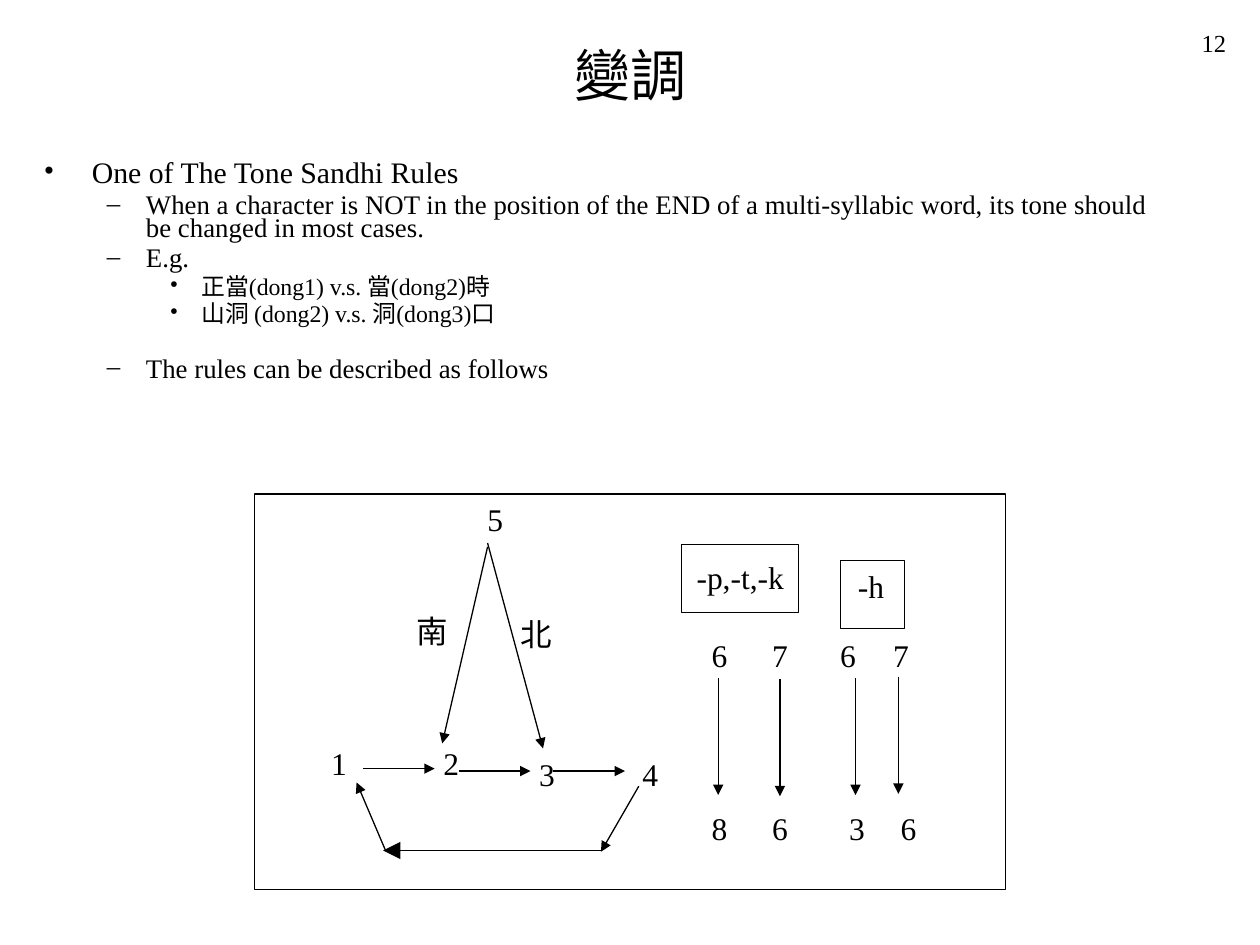
from lxml.etree import SubElement
from pptx import Presentation
from pptx.dml.color import RGBColor
from pptx.enum.shapes import MSO_CONNECTOR as Connector, MSO_SHAPE as Shape
from pptx.enum.text import MSO_ANCHOR as Anchor, PP_ALIGN as Align
from pptx.oxml.ns import qn
from pptx.util import Inches, Pt

FONT = "Times New Roman"
COLORS = {"ink": "000000", "paper": "FFFFFF"}

# level: bullet, left indent, hanging indent, size, space before
LEVELS = [
    ("•", 0.38, 0.38, 17, 5),
    ("–", 0.81, 0.31, 15.3, 4.5),
    ("•", 1.25, 0.25, 13.6, 4),
]
OUTLINE = [
    (0, "One of The Tone Sandhi Rules"),
    (1, "When a character is NOT in the position of the END of a "
        "multi-syllabic word, its tone should be changed in most cases."),
    (1, "E.g."),
    (2, "正當(dong1) v.s. 當(dong2)時"),
    (2, "山洞 (dong2) v.s. 洞(dong3)口"),
    (1, "The rules can be described as follows"),
]
GAP_BEFORE_RULES = 19.5

BOXES = [(2.02, 3.92, 5.96, 3.14), (5.41, 4.32, 0.93, 0.54), (6.67, 4.45, 0.51, 0.54)]
LABELS = [
    ("1", 2.53, 5.86), ("2", 3.42, 5.86), ("3", 4.18, 5.94), ("4", 5.0, 5.94),
    ("5", 3.77, 3.92), ("南", 3.21, 4.81), ("北", 4.03, 4.83),
    ("-p,-t,-k", 5.43, 4.38), ("-h", 6.71, 4.45),
]
# checked tones: tone, its left, changed tone, its left, arrow x, arrow top
CHECKED_TONES = [
    ("6", 5.55, "8", 5.55, 5.7, 5.38),
    ("7", 6.03, "6", 6.03, 6.19, 5.39),
    ("6", 6.57, "3", 6.64, 6.79, 5.38),
    ("7", 6.99, "6", 7.05, 7.13, 5.37),
]
TONE_TOP, CHANGED_TOP, CHECKED_ARROW = 5.0, 6.37, 0.93
ARROWS = [
    (2.88, 6.1, 3.45, 6.1), (3.64, 6.12, 4.21, 6.12), (4.39, 6.12, 4.96, 6.12),
    (5.07, 6.24, 4.77, 6.76), (3.06, 6.75, 2.83, 6.21),
    (3.87, 4.34, 3.51, 5.9), (3.87, 4.31, 4.31, 5.94),
]
RETURN_ARROW = (4.77, 6.75, 3.04, 6.75)


def color(name):
    return RGBColor.from_string(COLORS[name])


def format_runs(paragraph, size):
    for run in paragraph.runs:
        run.font.name = FONT
        run.font.size = Pt(size)
        run.font.color.rgb = color("ink")


def add_text(shapes, text, left, top, width, height, size=18,
             align=Align.LEFT, anchor=Anchor.TOP):
    box = shapes.add_textbox(Inches(left), Inches(top), Inches(width), Inches(height))
    frame = box.text_frame
    frame.word_wrap = True
    frame.vertical_anchor = anchor
    frame.text = text
    frame.paragraphs[0].alignment = align
    format_runs(frame.paragraphs[0], size)
    return frame


def add_outline(shapes):
    frame = add_text(shapes, "", 0.25, 1.25, 9.08, 1.92)
    for index, (level, text) in enumerate(OUTLINE):
        paragraph = frame.add_paragraph() if index else frame.paragraphs[0]
        bullet, indent, hanging, size, before = LEVELS[level]
        paragraph.text = text
        paragraph.level = level
        paragraph.line_spacing = 0.7
        paragraph.space_before = Pt(before)
        format_runs(paragraph, size)
        properties = paragraph._p.get_or_add_pPr()
        properties.set("marL", str(Inches(indent)))
        properties.set("indent", str(-Inches(hanging)))
        SubElement(properties, qn("a:buFont"), typeface=FONT)
        SubElement(properties, qn("a:buChar"), char=bullet)
    paragraph.space_before = Pt(GAP_BEFORE_RULES)


def add_box(shapes, left, top, width, height):
    box = shapes.add_shape(Shape.RECTANGLE, Inches(left), Inches(top),
                           Inches(width), Inches(height))
    box.shadow.inherit = False
    box.fill.solid()
    box.fill.fore_color.rgb = color("paper")
    box.line.color.rgb = color("ink")
    box.line.width = Pt(0.75)


def add_arrow(shapes, x1, y1, x2, y2, head="med"):
    arrow = shapes.add_connector(Connector.STRAIGHT, Inches(x1), Inches(y1),
                                 Inches(x2), Inches(y2))
    arrow.line.color.rgb = color("ink")
    arrow.line.width = Pt(0.75)
    SubElement(arrow.line._get_or_add_ln(), qn("a:tailEnd"),
               type="triangle", w=head, len=head)
    SubElement(arrow._element.spPr, qn("a:effectLst"))


def add_diagram(shapes):
    for box in BOXES:
        add_box(shapes, *box)
    for text, left, top in LABELS:
        add_text(shapes, text, left, top, 1.18 if len(text) > 2 else 0.63, 0.7)
    for tone, left, changed, changed_left, x, top in CHECKED_TONES:
        add_text(shapes, tone, left, TONE_TOP, 0.5, 0.76)
        add_text(shapes, changed, changed_left, CHANGED_TOP, 0.5, 0.76)
        add_arrow(shapes, x, top, x, top + CHECKED_ARROW)
    for arrow in ARROWS:
        add_arrow(shapes, *arrow)
    add_arrow(shapes, *RETURN_ARROW, head="lg")


def main():
    presentation = Presentation()
    presentation.slide_width = Inches(10)
    presentation.slide_height = Inches(7.5)
    slide = presentation.slides.add_slide(presentation.slide_layouts[6])
    add_text(slide.shapes, "變調", 0.17, 0.17, 9.67, 0.83, 32, Align.CENTER, Anchor.MIDDLE)
    add_outline(slide.shapes)
    add_diagram(slide.shapes.add_group_shape().shapes)
    add_text(slide.shapes, "12", 7.75, 0.17, 2.08, 0.5, 14, Align.RIGHT)
    presentation.save("out.pptx")


if __name__ == "__main__":
    main()
